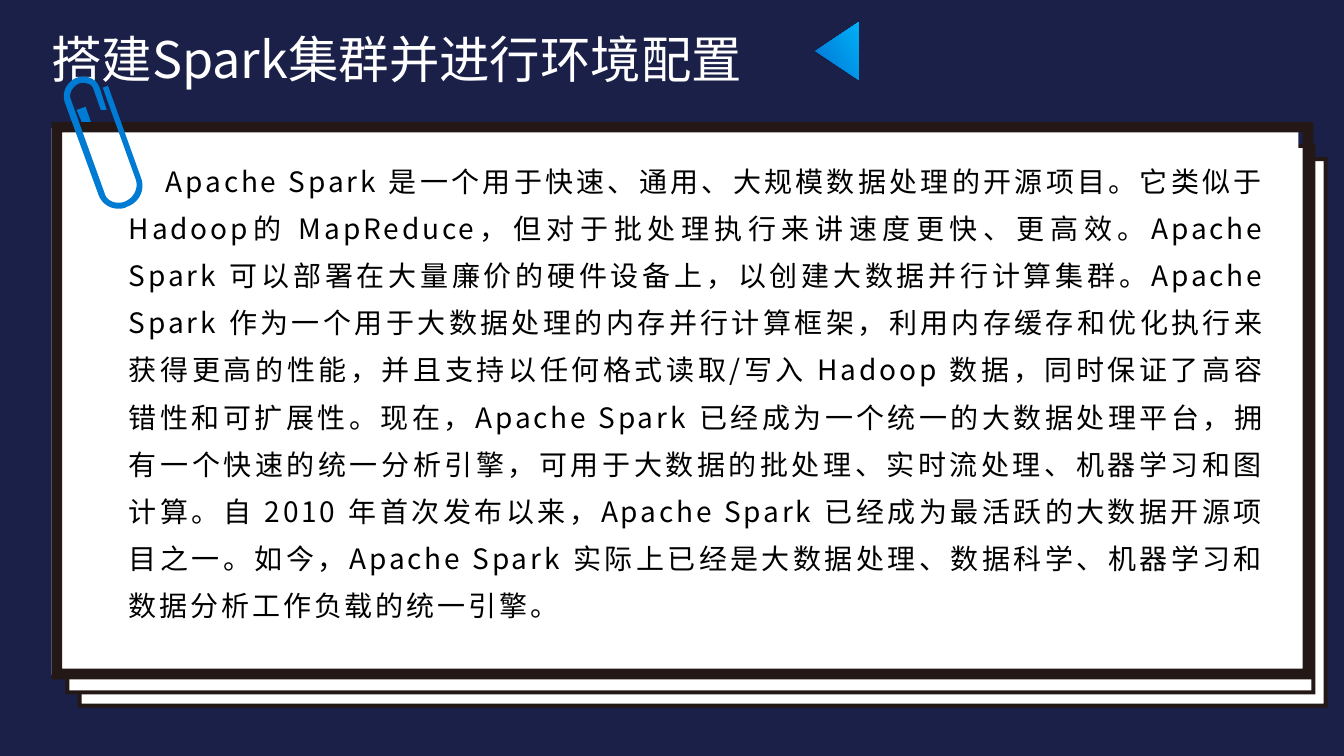
from dataclasses import dataclass

from lxml import etree
from pptx import Presentation
from pptx.dml.color import RGBColor
from pptx.enum import shapes, text
from pptx.oxml import ns
from pptx.util import Cm, Pt

FONT = "Noto Sans CJK SC"
NAVY = RGBColor(0x1B, 0x20, 0x49)
WHITE = RGBColor(0xFF, 0xFF, 0xFF)
BLACK = RGBColor(0x00, 0x00, 0x00)
INK = RGBColor(0x23, 0x18, 0x15)
CLIP_BLUE = RGBColor(0x00, 0x7B, 0xD4)
DEEP_BLUE = RGBColor(0x00, 0x73, 0xD3)
LIGHT_BLUE = RGBColor(0x00, 0xB0, 0xF6)

TITLE = "搭建Spark集群并进行环境配置"
BODY = (
    "Apache Spark 是一个用于快速、通用、大规模数据处理的开源项目。它类似于 "
    "Hadoop的 MapReduce，但对于批处理执行来讲速度更快、更高效。"
    "Apache Spark 可以部署在大量廉价的硬件设备上，以创建大数据并行计算集群。"
    "Apache Spark 作为一个用于大数据处理的内存并行计算框架，"
    "利用内存缓存和优化执行来获得更高的性能，并且支持以任何格式读取/写入 Hadoop 数据，"
    "同时保证了高容错性和可扩展性。现在，Apache Spark 已经成为一个统一的大数据处理平台，"
    "拥有一个快速的统一分析引擎，可用于大数据的批处理、实时流处理、机器学习和图计算。"
    "自 2010 年首次发布以来，Apache Spark 已经成为最活跃的大数据开源项目之一。"
    "如今，Apache Spark 实际上已经是大数据处理、数据科学、机器学习和数据分析工作负载的统一引擎。"
)

Point = tuple[float, float]


@dataclass(frozen=True)
class Box:
    left: float
    top: float
    width: float
    height: float

    def emu(self) -> tuple[Cm, Cm, Cm, Cm]:
        return Cm(self.left), Cm(self.top), Cm(self.width), Cm(self.height)


@dataclass(frozen=True)
class Sheet:
    paper: Box
    border: Box
    thickness: float


SHEETS = [
    Sheet(Box(2.01, 3.99, 31.42, 13.77), Box(1.96, 3.96, 31.5, 13.87), 0.1),
    Sheet(Box(1.7, 3.68, 31.42, 13.77), Box(1.65, 3.63, 31.5, 13.87), 0.1),
    Sheet(Box(1.3, 3.23, 31.42, 13.77), Box(1.3, 3.07, 31.8, 14.05), 0.27),
]

# Each step holds one point for a line or three points for a Bezier curve
CLIP_TAB = [[(2.06, 3.07)], [(1.93, 2.77)], [(2.16, 2.69)], [(2.29, 3.07)]]
CLIP_WIRE = [
    [(2.97, 5.26)],
    [(2.77, 5.26), (2.57, 5.13), (2.49, 4.93)],
    [(1.63, 2.57)],
    [(1.55, 2.34), (1.68, 2.06), (1.93, 1.96)],
    [(2.03, 1.93), (2.16, 1.91), (2.26, 1.96)],
    [(2.39, 2.01), (2.46, 2.08), (2.51, 2.21)],
    [(2.69, 2.77)], [(2.54, 2.77)], [(2.36, 2.26)],
    [(2.34, 2.18), (2.29, 2.13), (2.21, 2.11)],
    [(2.13, 2.08), (2.06, 2.08), (1.98, 2.11)],
    [(1.83, 2.18), (1.73, 2.36), (1.78, 2.49)],
    [(2.64, 4.88)],
    [(2.69, 5.08), (2.95, 5.16), (3.15, 5.08)],
    [(3.38, 4.98), (3.48, 4.75), (3.43, 4.55)],
    [(2.59, 2.21)], [(2.72, 2.16)], [(3.56, 4.5)],
    [(3.66, 4.78), (3.51, 5.11), (3.2, 5.21)],
    [(3.12, 5.26), (3.05, 5.26), (2.97, 5.26)],
]


def paint(sp, color: RGBColor) -> None:
    sp.fill.solid()
    sp.fill.fore_color.rgb = color
    sp.line.fill.background()
    sp.shadow.inherit = False


def add_sheet(s, sheet: Sheet) -> None:
    paper = s.shapes.add_shape(shapes.MSO_SHAPE.RECTANGLE, *sheet.paper.emu())
    paint(paper, WHITE)
    border = s.shapes.add_shape(shapes.MSO_SHAPE.FRAME, *sheet.border.emu())
    border.adjustments[0] = sheet.thickness / sheet.border.height
    paint(border, INK)


def bezier(start: Point, a: Point, b: Point, end: Point, steps: int = 12) -> list[Point]:
    points = []
    for i in range(1, steps + 1):
        t = i / steps
        u = 1 - t
        weights = (u**3, 3 * u * u * t, 3 * u * t * t, t**3)
        x, y = (sum(w * q[axis] for w, q in zip(weights, (start, a, b, end)))
                for axis in (0, 1))
        points.append((x, y))
    return points


def add_outline(s, steps: list[list[Point]], color: RGBColor) -> None:
    points = list(steps[0])
    for step in steps[1:]:
        points += bezier(points[-1], *step) if len(step) == 3 else step
    corners = [(Cm(x), Cm(y)) for x, y in points]
    builder = s.shapes.build_freeform(*corners[0])
    builder.add_line_segments(corners[1:], close=True)
    paint(builder.convert_to_shape(), color)


def add_run(p, words: str, size: float, color: RGBColor):
    r = p.add_run()
    r.text = words
    r.font.size = Pt(size)
    r.font.name = FONT
    r.font.color.rgb = color
    etree.SubElement(r.font._element, ns.qn("a:ea"), typeface=FONT)
    return r


def main() -> None:
    prs = Presentation()
    prs.slide_width, prs.slide_height = Cm(33.87), Cm(19.05)
    s = prs.slides.add_slide(prs.slide_layouts[5])
    s.background.fill.solid()
    s.background.fill.fore_color.rgb = NAVY

    # Title
    sp = s.shapes.title
    sp.left, sp.top, sp.width, sp.height = Box(1.04, 0.58, 22.43, 3.81).emu()
    tf = sp.text_frame
    tf.vertical_anchor = text.MSO_ANCHOR.TOP
    tf.auto_size = text.MSO_AUTO_SIZE.NONE
    p = tf.paragraphs[0]
    p.alignment = text.PP_ALIGN.LEFT
    add_run(p, TITLE, 36, WHITE)

    # Pointer beside the title
    sp = s.shapes.add_shape(shapes.MSO_SHAPE.ISOSCELES_TRIANGLE,
                            *Box(20.37, 0.74, 1.45, 1.09).emu())
    paint(sp, DEEP_BLUE)
    sp.rotation = 270
    sp.fill.gradient()
    sp.fill.gradient_angle = 300
    for stop, color in zip(sp.fill.gradient_stops, (DEEP_BLUE, LIGHT_BLUE)):
        stop.color.rgb = color

    # Stacked sheets and paper clip
    for sheet in SHEETS:
        add_sheet(s, sheet)
    for outline in (CLIP_TAB, CLIP_WIRE):
        add_outline(s, outline, CLIP_BLUE)

    # Body text
    tf = s.shapes.add_textbox(*Box(3, 3.68, 29.13, 12.14).emu()).text_frame
    tf.word_wrap = True
    tf.auto_size = text.MSO_AUTO_SIZE.TEXT_TO_FIT_SHAPE
    p = tf.paragraphs[0]
    p.alignment = text.PP_ALIGN.JUSTIFY
    p.line_spacing = 1.4
    p._p.get_or_add_pPr().set("indent", str(Cm(0.93)))
    r = add_run(p, BODY, 20, BLACK)
    r.font._element.set("spc", "200")

    prs.save("out.pptx")


if __name__ == "__main__":
    main()
